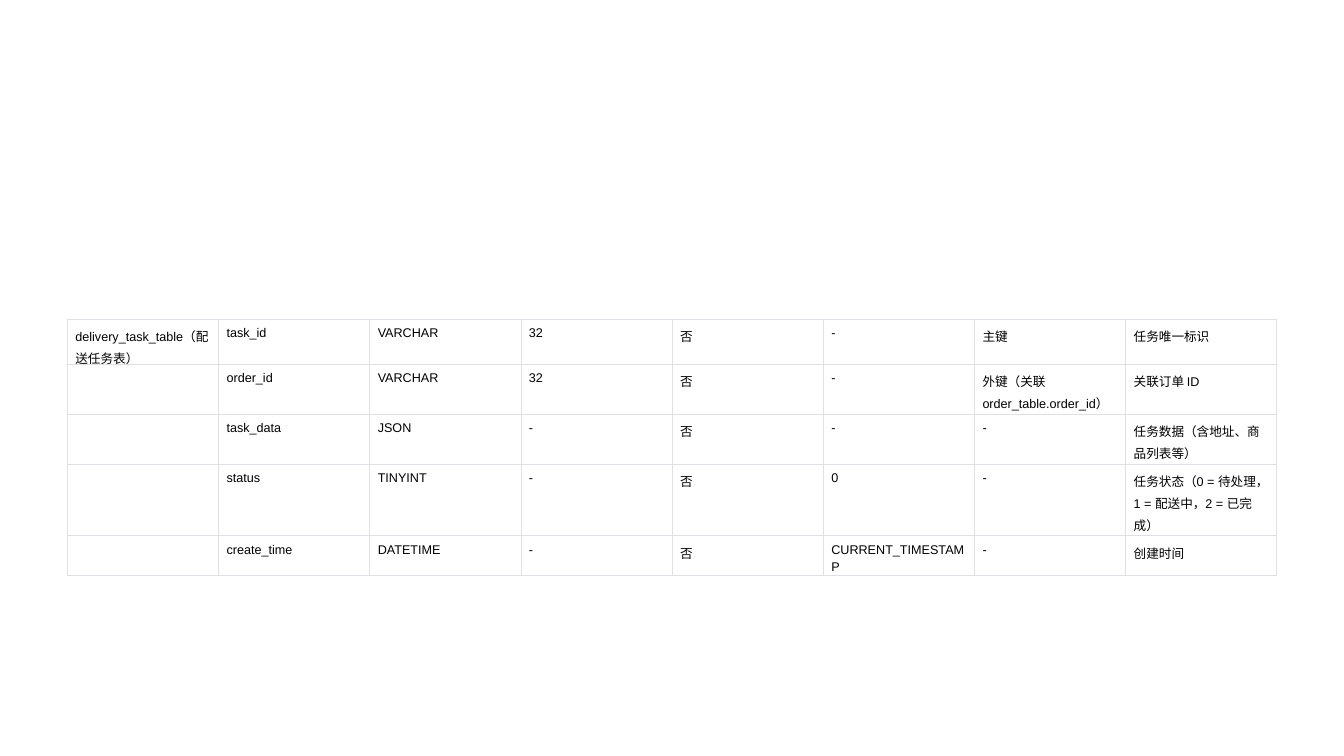
from itertools import groupby

from lxml.etree import SubElement
from pptx import Presentation
from pptx.dml.color import RGBColor
from pptx.oxml import parse_xml
from pptx.oxml.ns import nsdecls, qn
from pptx.util import Cm, Pt

INK = RGBColor(0x00, 0x00, 0x00)
RULE = RGBColor(0xDE, 0xE0, 0xE3)
LATIN_FONT = "Arial"
CHINESE_FONT = "Noto Sans CJK SC"
FIELDS = [
    ("delivery_task_table（配送任务表）", "task_id", "VARCHAR", "32", "否", "-",
     "主键", "任务唯一标识"),
    ("", "order_id", "VARCHAR", "32", "否", "-",
     "外键（关联 order_table.order_id）", "关联订单 ID"),
    ("", "task_data", "JSON", "-", "否", "-", "-", "任务数据（含地址、商品列表等）"),
    ("", "status", "TINYINT", "-", "否", "0", "-",
     "任务状态（0 = 待处理，1 = 配送中，2 = 已完成）"),
    ("", "create_time", "DATETIME", "-", "否", "CURRENT_TIMESTAMP", "-", "创建时间"),
]
ROW_HEIGHTS = [Cm(1), Cm(1), Cm(1), Cm(1), Cm(0.56)]


def is_chinese(letter):
    """Tell whether a letter needs the Chinese font."""
    return ord(letter) > 0x2E80


def write_text(cell, text):
    """Write text into a cell, with a font for each script."""
    para = cell.text_frame.paragraphs[0]
    para.line_spacing = 1.2
    para.space_after = Pt(6)
    para.font.size = Pt(9)
    para.font.color.rgb = INK
    for chinese, letters in groupby(text, is_chinese):
        span = para.add_run()
        span.text = "".join(letters)
        span.font.name = CHINESE_FONT if chinese else LATIN_FONT
        if chinese:
            SubElement(span.font._element, qn("a:ea"), typeface=CHINESE_FONT)


def style_cell(cell):
    """Give a cell its margins, empty fill and thin border."""
    cell.margin_left = cell.margin_right = Cm(0.2)
    cell.margin_top, cell.margin_bottom = Cm(0.1), Cm(0.05)
    cell.fill.background()
    properties = cell._tc.get_or_add_tcPr()
    for position, side in enumerate("LRTB"):
        properties.insert(position, parse_xml(
            f'<a:ln{side} {nsdecls("a")} w="{Pt(0.75)}"><a:solidFill>'
            f'<a:srgbClr val="{RULE}"/></a:solidFill></a:ln{side}>'))


def add_field_table(page, left, top, width):
    """Place the table of fields in the given box."""
    columns = len(FIELDS[0])
    table = page.shapes.add_table(
        len(FIELDS), columns, left, top, width, sum(ROW_HEIGHTS)).table
    table.first_row = table.horz_banding = False
    for row, height, texts in zip(table.rows, ROW_HEIGHTS, FIELDS):
        row.height = height
        for cell, text in zip(row.cells, texts):
            style_cell(cell)
            write_text(cell, text)


def main():
    """Build the deck and save it."""
    deck = Presentation()
    deck.slide_width, deck.slide_height = Cm(33.87), Cm(19.05)
    page = deck.slides.add_slide(deck.slide_layouts[6])
    add_field_table(page, Cm(1.7), Cm(8.05), Cm(30.48))
    deck.save("out.pptx")


if __name__ == "__main__":
    main()
